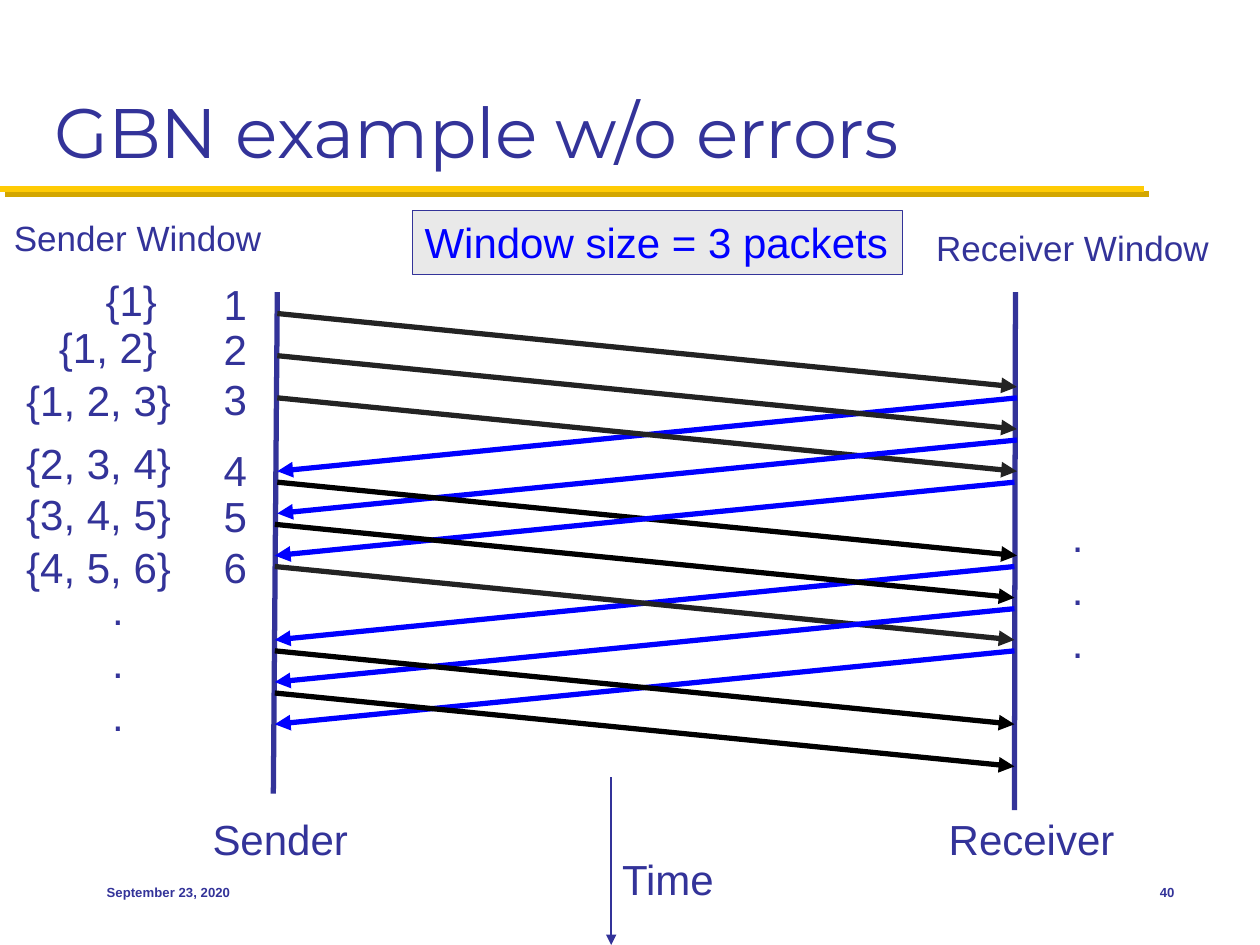
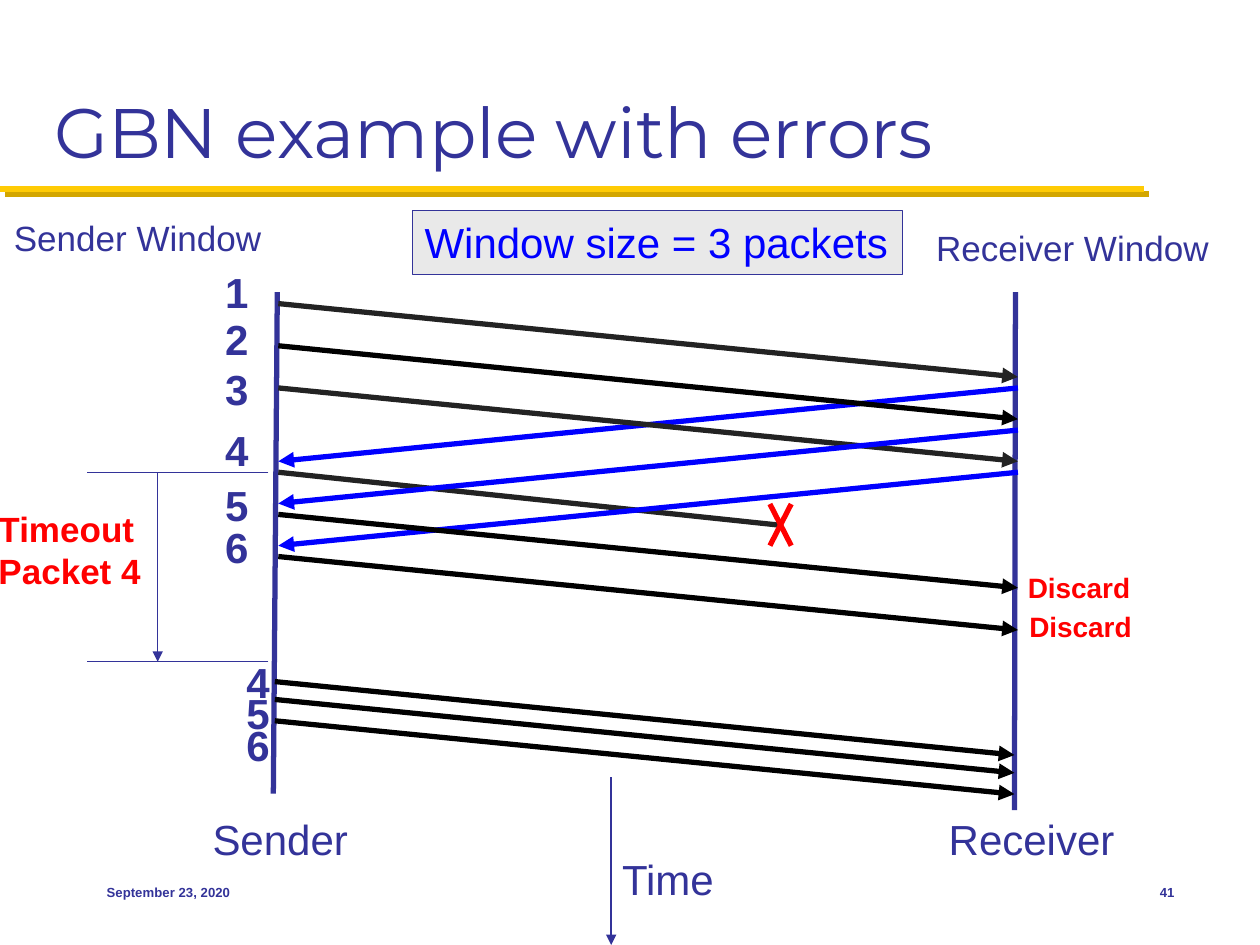
from dataclasses import dataclass

from lxml import etree
from pptx import Presentation
from pptx import util as u
from pptx.dml.color import RGBColor
from pptx.enum import shapes, text
from pptx.oxml.ns import qn


@dataclass(frozen=True)
class Theme:
    ink: str = "333399"
    gold: str = "FFCB05"
    gold_shadow: str = "D3A600"
    panel: str = "E9E9E9"
    blue: str = "0000FF"
    black: str = "000000"
    charcoal: str = "232323"
    alert: str = "FF0000"
    title_font: str = "Montserrat"
    body_font: str = "Arial"
    title: float = 40
    body: float = 24
    heading: float = 20
    remark: float = 16
    footer: float = 7.5
    message_line: float = 3
    thin_line: float = 0.75


THEME = Theme()
LEFT, CENTER, RIGHT = (text.PP_ALIGN.LEFT, text.PP_ALIGN.CENTER,
                       text.PP_ALIGN.RIGHT)
TOP, MIDDLE, BOTTOM = (text.MSO_ANCHOR.TOP, text.MSO_ANCHOR.MIDDLE,
                       text.MSO_ANCHOR.BOTTOM)

SLOT = 0.85      # time between two packets
SPAN = 14.91     # distance a message travels
DELAY = 1.48     # time a message travels


def rgb(color):
    return RGBColor.from_string(color)


def write(shape, wording, size=THEME.body, color=THEME.ink, bold=False,
          align=LEFT, anchor=TOP, font=THEME.body_font, wrap=False, gap=0):
    frame = shape.text_frame
    frame.word_wrap = wrap
    frame.auto_size = (text.MSO_AUTO_SIZE.NONE if wrap
                       else text.MSO_AUTO_SIZE.SHAPE_TO_FIT_TEXT)
    frame.vertical_anchor = anchor
    frame.text = wording
    for paragraph in frame.paragraphs:
        paragraph.alignment = align
        paragraph.space_before = u.Pt(gap)
        paragraph.font.name = font
        paragraph.font.size = u.Pt(size)
        paragraph.font.bold = bold
        paragraph.font.color.rgb = rgb(color)


def add_label(slide, wording, left, top, width, height=1.27, **style):
    box = slide.shapes.add_textbox(u.Cm(left), u.Cm(top),
                                   u.Cm(width), u.Cm(height))
    write(box, wording, **style)


def add_line(slide, start, end, color=THEME.ink, width=THEME.message_line,
             arrow=False):
    line = slide.shapes.add_connector(shapes.MSO_CONNECTOR.STRAIGHT,
                                      *map(u.Cm, start + end))
    line.line.color.rgb = rgb(color)
    line.line.width = u.Pt(width)
    if arrow:
        etree.SubElement(line.line._get_or_add_ln(), qn("a:tailEnd"),
                         type="triangle")
    etree.SubElement(line._element.spPr, qn("a:effectLst"))


def add_messages(slide, left, first, messages):
    """Draw (kind, slot) messages; the slot tells when each one leaves."""
    colors = {"packet": THEME.black, "dark packet": THEME.charcoal,
              "ack": THEME.blue}
    for kind, slot in messages:
        departure = first + slot * SLOT
        begin, end = left, left + SPAN
        if kind == "ack":
            begin, end = end, begin
        add_line(slide, (begin, departure), (end, departure + DELAY),
                 colors[kind], arrow=True)


def add_packet_numbers(slide, left, tops, first=1, bold=False):
    for number, top in enumerate(tops, first):
        add_label(slide, str(number), left, top, 0.99, bold=bold)


def add_window_size(slide):
    panel = slide.shapes.add_shape(shapes.MSO_SHAPE.RECTANGLE, u.Cm(8.31),
                                   u.Cm(4.24), u.Cm(9.88), u.Cm(1.3))
    panel.shadow.inherit = False
    panel.fill.solid()
    panel.fill.fore_color.rgb = rgb(THEME.panel)
    panel.line.color.rgb = rgb(THEME.ink)
    panel.line.width = u.Pt(THEME.thin_line)
    write(panel, "Window size = 3 packets", color=THEME.blue)


def add_sequence_slide(deck, title, number):
    """Add a slide with title, rule, lifelines, headings and footer."""
    slide = deck.slides.add_slide(deck.slide_layouts[6])
    for offset, color in ((0.1, THEME.gold_shadow), (0, THEME.gold)):
        add_line(slide, (offset, 3.81 + offset), (23.06 + offset, 3.81 + offset),
                 color, 3.5)
    add_label(slide, title, 0.84, 0.43, 23.7, 3.18, size=THEME.title,
              font=THEME.title_font, anchor=BOTTOM, wrap=True)

    add_line(slide, (12.32, 15.67), (12.32, 19.05), width=1, arrow=True)
    for name, left, top, width in (("Time", 12.27, 17.07, 2.39),
                                   ("Sender", 4.01, 16.28, 3.28),
                                   ("Receiver", 18.85, 16.28, 3.89)):
        add_label(slide, name, left, top, width, align=CENTER, anchor=MIDDLE)
    add_window_size(slide)
    add_line(slide, (5.59, 5.89), (5.51, 16))
    add_line(slide, (20.47, 5.89), (20.45, 16.33))
    add_label(slide, "Sender Window", 0.03, 4.24, 5.79, 1.09,
              size=THEME.heading)
    add_label(slide, "Receiver Window", 18.62, 4.45, 6.35, 1.09,
              size=THEME.heading)

    footer = dict(size=THEME.footer, bold=True, anchor=MIDDLE, wrap=True)
    add_label(slide, "September 23, 2020", 1.9, 17.35, 5.28, **footer)
    add_label(slide, str(number), 22.23, 17.35, 1.7, align=RIGHT, **footer)
    return slide


def add_timeout(slide, begin, end):
    for moment in (begin, end):
        add_line(slide, (5.41, moment), (1.75, moment), width=THEME.thin_line)
    add_line(slide, (3.18, begin), (3.18, end), width=THEME.thin_line,
             arrow=True)
    add_label(slide, "Timeout\nPacket 4", -0.28, 10.1, 3.4, 1.88,
              size=THEME.heading, color=THEME.alert, bold=True)


def add_lost_packet(slide, start, end):
    add_line(slide, start, end, THEME.charcoal)
    for top, bottom in ((10.16, 11), (11, 10.16)):
        add_line(slide, (15.52, top), (15.95, bottom), THEME.alert)


def build_without_errors(deck):
    slide = add_sequence_slide(deck, "GBN example w/o errors", 40)
    first = 6.32
    add_messages(slide, 5.59, first, [
        ("dark packet", 0), ("ack", 2), ("dark packet", 1),
        ("dark packet", 2), ("ack", 3), ("packet", 4)])
    add_messages(slide, 5.54, first, [
        ("ack", 4), ("ack", 6), ("packet", 5), ("dark packet", 6),
        ("ack", 7), ("ack", 8), ("packet", 8), ("packet", 9)])
    add_packet_numbers(slide, 4.26, (5.48, 6.4, 7.41, 8.83, 9.77, 10.79))
    for window, left, top, width in (("{1}", 1.88, 5.41, 1.55),
                                     ("{1, 2}", 0.94, 6.35, 2.59),
                                     ("{1, 2, 3}", 0.28, 7.42, 3.56),
                                     ("{2, 3, 4}", 0.28, 8.69, 3.56),
                                     ("{3, 4, 5}", 0.28, 9.73, 3.56),
                                     ("{4, 5, 6}", 0.28, 10.8, 3.56)):
        add_label(slide, window, left, top, width)
    for left, top in ((2.01, 11.63), (21.36, 10.16)):
        add_label(slide, ".\n.\n.", left, top, 0.74, 3.33, gap=1.5)


def build_with_errors(deck):
    slide = add_sequence_slide(deck, "GBN example with errors", 41)
    sender, first = 5.61, 6.12
    loss = first + 4 * SLOT
    add_messages(slide, sender, first, [("dark packet", 0), ("ack", 2)])
    add_lost_packet(slide, (sender, loss), (15.75, 10.59))
    add_messages(slide, sender, first, [
        ("packet", 1), ("dark packet", 2), ("ack", 3), ("ack", 4),
        ("packet", 5), ("packet", 6)])
    add_packet_numbers(slide, 4.29, (5.25, 6.19, 7.21, 8.43, 9.55, 10.38),
                       bold=True)
    add_timeout(slide, loss, 13.34)
    add_packet_numbers(slide, 4.72, (13.1, 13.74, 14.37), first=4, bold=True)
    for departure in (13.74, 14.1, 14.53):
        add_messages(slide, 5.54, departure, [("packet", 0)])
    for left, top in ((20.47, 11.38), (20.5, 12.17)):
        add_label(slide, "Discard", left, top, 2.59, 0.94, size=THEME.remark,
                  color=THEME.alert, bold=True)


def main():
    deck = Presentation()
    deck.slide_width, deck.slide_height = u.Cm(25.4), u.Cm(19.05)
    build_without_errors(deck)
    build_with_errors(deck)
    deck.save("out.pptx")


if __name__ == "__main__":
    main()
